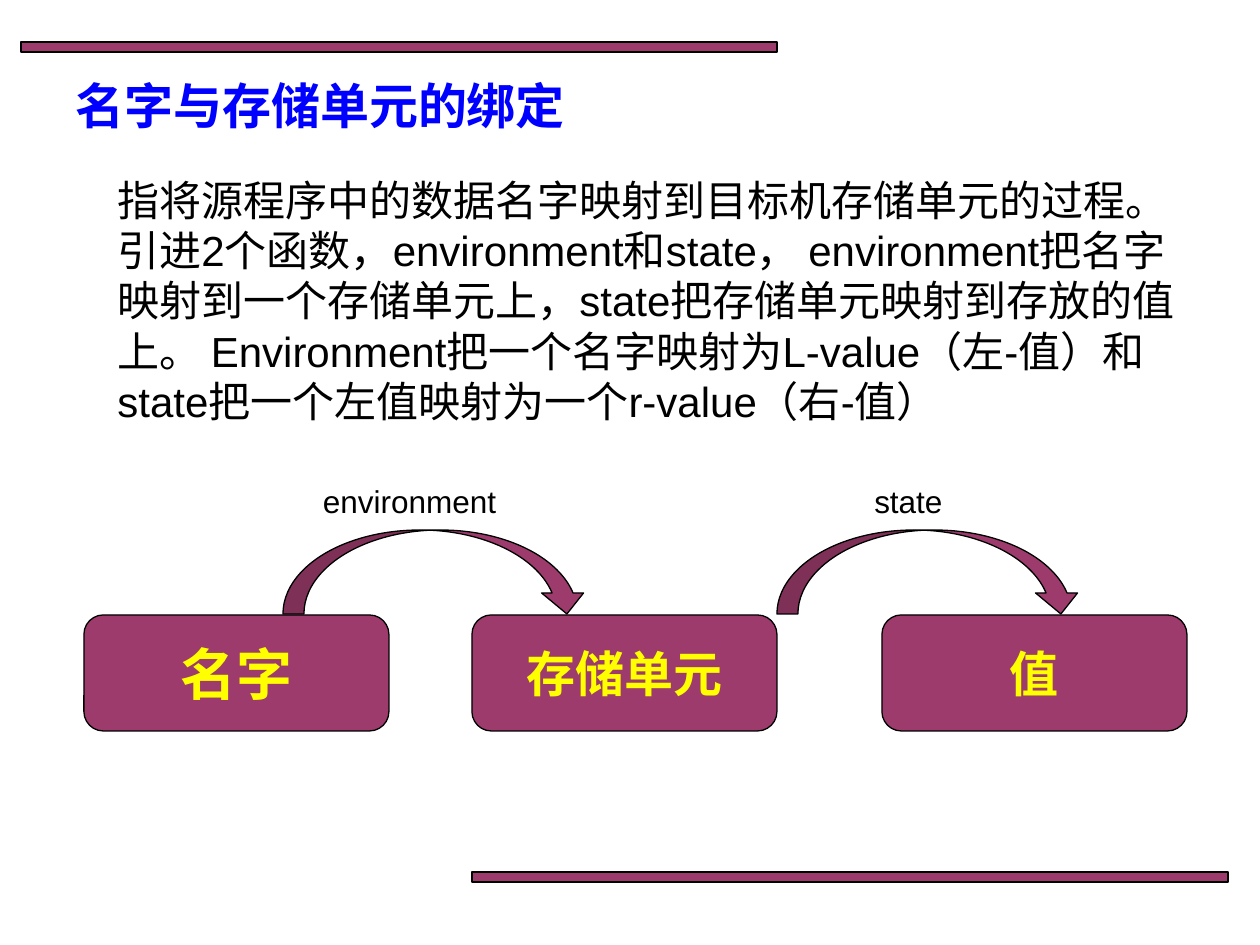
from lxml import etree
from pptx import Presentation
from pptx.dml.color import RGBColor
from pptx.enum.shapes import MSO_SHAPE as Shape
from pptx.enum.text import MSO_ANCHOR as Anchor, PP_ALIGN as Align
from pptx.oxml.ns import qn
from pptx.util import Emu, Pt

PX = 914400 / 126
PLUM = RGBColor(0x99, 0x33, 0x66)
BLACK = RGBColor(0, 0, 0)
BLUE = RGBColor(0, 0, 0xFF)
YELLOW = RGBColor(0xFF, 0xFF, 0)
OPACITY = 96

ITEM_WIDTH = 305
BOX_TOP, BOX_HEIGHT = 615, 116
ARROW_TOP, ARROW_HEIGHT = 530, 84
LABEL_TOP, LABEL_HEIGHT = 472, 58

BODY = [
    "指将源程序中的数据名字映射到目标机存储单元的过程。",
    "引进2个函数，environment和state， environment把名字映射到一个存储单元上，"
    "state把存储单元映射到存放的值上。 Environment把一个名字映射为L-value（左-值）"
    "和state把一个左值映射为一个r-value（右-值）",
]


def px(*lengths):
    return [Emu(round(length * PX)) for length in lengths]


def write_text(shape, paragraphs, size, color=BLACK, font="Arial", bold=False,
               align=Align.LEFT, anchor=Anchor.TOP, wrap=True):
    frame = shape.text_frame
    frame.text = "\n".join(paragraphs)
    frame.word_wrap = wrap
    frame.vertical_anchor = anchor
    for paragraph in frame.paragraphs:
        paragraph.alignment = align
        for run in paragraph.runs:
            run.font.size = Pt(size)
            run.font.name = font
            run.font.bold = bold
            run.font.color.rgb = color


def add_plum_shape(slide, kind, left, top, width, height):
    """Add a slightly transparent plum shape with a thin black outline."""
    shape = slide.shapes.add_shape(kind, *px(left, top, width, height))
    shape.shadow.inherit = False
    shape.fill.solid()
    shape.fill.fore_color.rgb = PLUM
    color = shape.fill._xPr.find(qn("a:solidFill"))[0]
    etree.SubElement(color, qn("a:alpha")).set("val", str(OPACITY * 1000))
    shape.line.color.rgb = BLACK
    shape.line.width = Pt(0.75)
    return shape


def add_title(slide, text):
    title = slide.shapes.title
    title.left, title.top, title.width, title.height = px(63, 73, 1134, 63)
    write_text(title, [text], 28, color=BLUE, font="Times New Roman",
               bold=True, anchor=Anchor.MIDDLE)


def add_body(slide, paragraphs):
    body = slide.shapes.add_textbox(*px(105, 168, 1113, 317))
    write_text(body, paragraphs, 24)


def add_box(slide, left, text, size):
    box = add_plum_shape(slide, Shape.ROUNDED_RECTANGLE,
                         left, BOX_TOP, ITEM_WIDTH, BOX_HEIGHT)
    write_text(box, [text], size, color=YELLOW, bold=True,
               align=Align.CENTER, anchor=Anchor.MIDDLE, wrap=False)


def add_label(slide, left, text):
    label = slide.shapes.add_shape(
        Shape.ROUNDED_RECTANGLE,
        *px(left, LABEL_TOP, ITEM_WIDTH, LABEL_HEIGHT))
    label.shadow.inherit = False
    label.fill.background()
    label.line.fill.background()
    write_text(label, [text], 18, align=Align.CENTER, anchor=Anchor.MIDDLE,
               wrap=False)


def main():
    presentation = Presentation()
    presentation.slide_width, presentation.slide_height = px(1260, 945)
    slide = presentation.slides.add_slide(presentation.slide_layouts[5])

    for left, top in [(21, 42), (472, 872)]:
        add_plum_shape(slide, Shape.RECTANGLE, left, top, 756, 10)
    add_title(slide, "名字与存储单元的绑定")
    add_body(slide, BODY)

    for left, text, size in [(84, "名字", 32), (472, "存储单元", 28), (882, "值", 28)]:
        add_box(slide, left, text, size)
    for label_left, arrow_left, text in [(257, 283, "environment"),
                                         (756, 777, "state")]:
        add_label(slide, label_left, text)
        add_plum_shape(slide, Shape.CURVED_DOWN_ARROW,
                       arrow_left, ARROW_TOP, ITEM_WIDTH, ARROW_HEIGHT)

    presentation.save("out.pptx")


if __name__ == "__main__":
    main()
